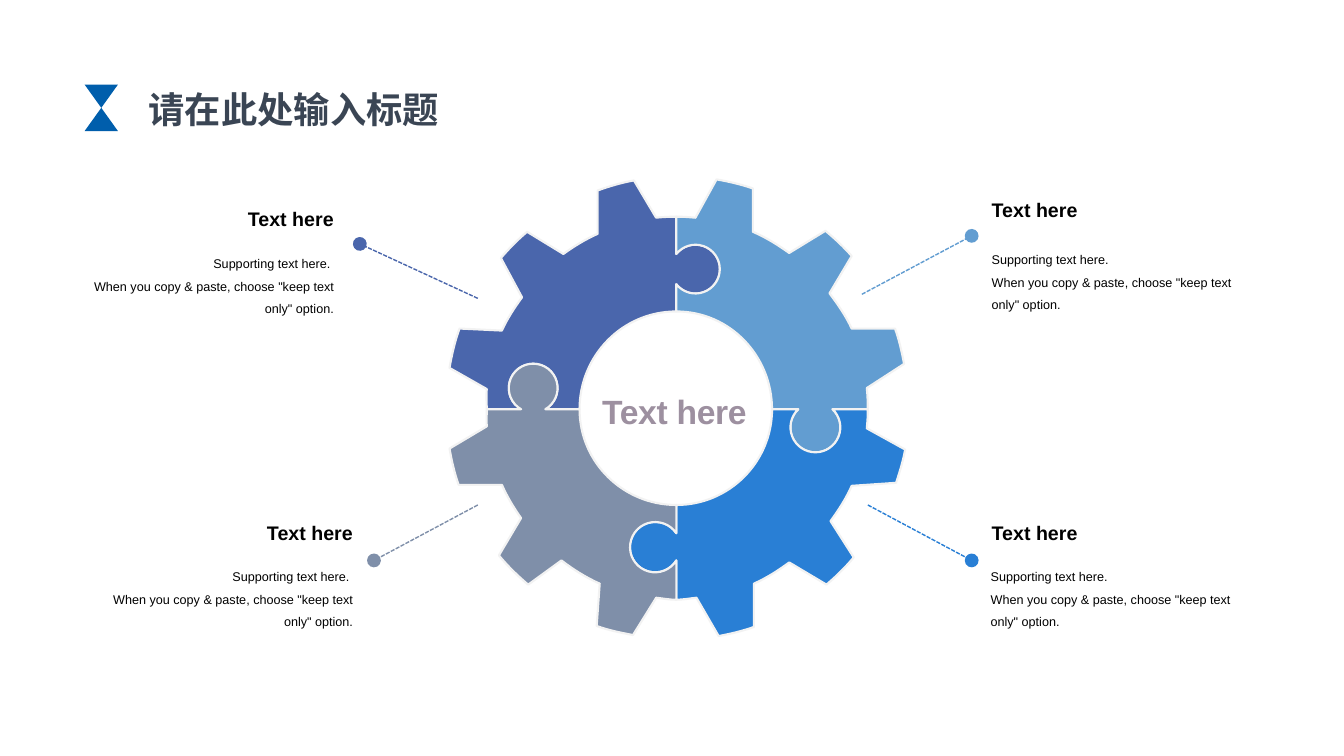
from math import atan2, cos, hypot, pi, sin, tan

from lxml.etree import SubElement
from pptx import Presentation
from pptx.dml.color import RGBColor
from pptx.enum.dml import MSO_LINE
from pptx.enum.shapes import MSO_CONNECTOR, MSO_SHAPE
from pptx.enum.text import MSO_ANCHOR, PP_ALIGN
from pptx.oxml.ns import qn
from pptx.util import Inches, Pt

COLORS = {
    "indigo": "4A66AC", "sky": "629DD1", "blue": "297FD5", "slate": "7F8FA9",
    "edge": "F2F2F2", "hub": "9D90A0", "text": "000000", "title": "3A4554",
    "mark": "005EAC",
}
CENTER = (6.71, 4.06)
LEFT, MID, RIGHT = PP_ALIGN.LEFT, PP_ALIGN.CENTER, PP_ALIGN.RIGHT

SEAMS = [
    ((4.83, 4.06), (5.17, 4.06), (5.41, 4.06), (5.75, 4.06), (5.29, 3.85)),
    ((6.71, 2.15), (6.71, 2.52), (6.71, 2.82), (6.71, 3.09), (6.9, 2.67)),
    ((8.61, 4.06), (8.26, 4.06), (7.92, 4.06), (7.66, 4.06), (8.09, 4.24)),
    ((6.71, 5.95), (6.71, 5.56), (6.71, 5.29), (6.71, 5.01), (6.5, 5.43)),
]
PIECES = [
    ("indigo", [
        [(4.83, 3.86), (4.46, 3.65), (4.56, 3.26), (4.98, 3.28)],
        [(5.18, 2.95), (4.97, 2.56), (5.23, 2.3), (5.59, 2.52)],
        [(5.93, 2.32), (5.93, 1.89), (6.29, 1.79), (6.51, 2.16)],
    ]),
    ("sky", [
        [(6.9, 2.16), (7.11, 1.78), (7.47, 1.87), (7.47, 2.3)],
        [(7.83, 2.51), (8.19, 2.29), (8.45, 2.54), (8.23, 2.91)],
        [(8.45, 3.26), (8.88, 3.26), (8.97, 3.61), (8.6, 3.85)],
    ]),
    ("blue", [
        [(8.6, 4.25), (8.98, 4.46), (8.89, 4.79), (8.45, 4.82)],
        [(8.24, 5.17), (8.47, 5.53), (8.2, 5.8), (7.83, 5.58)],
        [(7.48, 5.79), (7.48, 6.22), (7.13, 6.31), (6.91, 5.93)],
    ]),
    ("slate", [
        [(6.51, 5.93), (6.28, 6.3), (5.92, 6.21), (5.95, 5.79)],
        [(5.57, 5.56), (5.24, 5.8), (4.95, 5.51), (5.17, 5.14)],
        [(4.98, 4.81), (4.55, 4.81), (4.46, 4.45), (4.83, 4.23)],
    ]),
]
LEADERS = [
    ("sky", (8.55, 2.92), (9.64, 2.34)),
    ("blue", (8.61, 5.01), (9.64, 5.56)),
    ("slate", (4.74, 5.01), (3.71, 5.56)),
    ("indigo", (4.74, 2.96), (3.57, 2.42)),
]
NOTES = [
    (RIGHT, (0.73, 1.99, 2.68, 0.35), (0.73, 2.39, 2.68, 0.82)),
    (RIGHT, (0.73, 5.11, 2.87, 0.35), (0.73, 5.51, 2.87, 0.79)),
    (LEFT, (9.74, 1.91, 2.87, 0.35), (9.74, 2.31, 2.87, 0.9)),
    (LEFT, (9.74, 5.11, 2.87, 0.35), (9.73, 5.51, 2.87, 0.79)),
]


def sweep(hub, start, end, turn=1, parts=1):
    dx, dy = start[0] - hub[0], start[1] - hub[1]
    ex, ey = end[0] - hub[0], end[1] - hub[1]
    first, near, far = atan2(dy, dx), hypot(dx, dy), hypot(ex, ey)
    step = turn * ((turn * (atan2(ey, ex) - first)) % (2 * pi)) / parts
    pull = 4 / 3 * tan(step / 4)

    def spot(index, lean):
        size = near + (far - near) * index / parts
        angle = first + step * index
        return (hub[0] + size * (cos(angle) - lean * sin(angle)),
                hub[1] + size * (sin(angle) + lean * cos(angle)))

    return [(spot(n, pull), spot(n + 1, -pull), spot(n + 1, 0))
            for n in range(parts)]


def outline(first, last, teeth):
    rim, start, end, hub, knob = first
    moves = [(hub,), (end,), *sweep(knob, end, start, -1, 4), (rim,)]
    spot = rim
    for base, tip, top, foot in teeth:
        moves += sweep(CENTER, spot, base) + [(tip,)]
        moves += sweep(CENTER, tip, top) + [(foot,)]
        spot = foot
    rim, start, end, inner, knob = last
    moves += sweep(CENTER, spot, rim) + [(start,)]
    moves += sweep(knob, start, end, 1, 4) + [(inner,)]
    return moves + sweep(CENTER, inner, hub, -1)


class Painter:
    font = "Arial"

    def __init__(self, slide):
        self.shapes = slide.shapes

    def color(self, name):
        return RGBColor.from_string(COLORS[name])

    def paint(self, shape, fill, edge=None):
        shape.shadow.inherit = False
        shape.fill.solid()
        shape.fill.fore_color.rgb = self.color(fill)
        if edge:
            shape.line.color.rgb = self.color(edge)
            shape.line.width = Pt(1.5)
        else:
            shape.line.fill.background()

    def piece(self, moves, fill):
        spots = [(Inches(x), Inches(y)) for move in moves for x, y in move]
        form = self.shapes.build_freeform(*spots[0], scale=1.0)
        form.add_line_segments(spots[1:], close=False)
        shape = form.convert_to_shape()
        lines = iter(list(shape._element.iter(qn("a:lnTo"))))
        for move in moves[1:]:
            line = next(lines)
            if len(move) == 3:
                curve = line.makeelement(qn("a:cubicBezTo"))
                line.addprevious(curve)
                for item in (line, next(lines), next(lines)):
                    curve.append(item[0])
                    item.getparent().remove(item)
        SubElement(curve.getparent(), qn("a:close"))
        self.paint(shape, fill, "edge")

    def mark(self, kind, box, fill):
        self.paint(self.shapes.add_shape(kind, *map(Inches, box)), fill)

    def leader(self, start, end, color):
        link = self.shapes.add_connector(
            MSO_CONNECTOR.STRAIGHT, *map(Inches, start + end))
        link.line.color.rgb = self.color(color)
        link.line.width = Pt(1)
        link.line.dash_style = MSO_LINE.SQUARE_DOT
        props = link._element.spPr
        SubElement(props.find(qn("a:ln")), qn("a:tailEnd"),
                   type="oval", w="lg", len="lg")
        SubElement(props, qn("a:effectLst"))

    def text(self, box, lines, size, color="text", align=LEFT, bold=False,
             wrap=False, gap=None, inset=0.1, font=None, track=None):
        frame = self.shapes.add_textbox(*map(Inches, box)).text_frame
        frame.word_wrap = wrap
        frame.vertical_anchor = MSO_ANCHOR.MIDDLE
        frame.margin_left = frame.margin_right = Inches(inset)
        for index, line in enumerate(lines):
            para = frame.add_paragraph() if index else frame.paragraphs[0]
            run = para.add_run()
            run.text = line
            para.alignment = align
            para.line_spacing = gap
            para.font.name = font or self.font
            para.font.size = Pt(size)
            para.font.bold = bold
            para.font.color.rgb = self.color(color)
            props = run._r.get_or_add_rPr()
            if track:
                props.set("spc", str(track))
            if font:
                SubElement(props, qn("a:ea"), typeface=font)


def main():
    deck = Presentation()
    deck.slide_width, deck.slide_height = Inches(40 / 3), Inches(7.5)
    pen = Painter(deck.slides.add_slide(deck.slide_layouts[6]))

    for index, (color, teeth) in enumerate(PIECES):
        last = SEAMS[(index + 1) % len(SEAMS)]
        pen.piece(outline(SEAMS[index], last, teeth), color)
    for color, start, end in LEADERS:
        pen.leader(start, end, color)
    pen.text((5.78, 3.83, 1.82, 0.5), ["Text here"], 24, "hub", MID,
             bold=True, track=-20)
    for align, head, body in NOTES:
        first = "Supporting text here." + (" " if align == RIGHT else "")
        pen.text(head, ["Text here"], 14, align=align, bold=True)
        pen.text(body, [
            first, 'When you copy & paste, choose "keep text only" option.',
        ], 9, align=align, wrap=True, gap=1.5)
    pen.text((1.17, 0.84, 3.49, 0.48), ["请在此处输入标题"], 25.9, "title", MID,
             bold=True, inset=0, font="Noto Sans CJK SC")
    pen.mark(MSO_SHAPE.FLOWCHART_COLLATE, (0.84, 0.84, 0.33, 0.46), "mark")
    deck.save("out.pptx")


if __name__ == "__main__":
    main()
